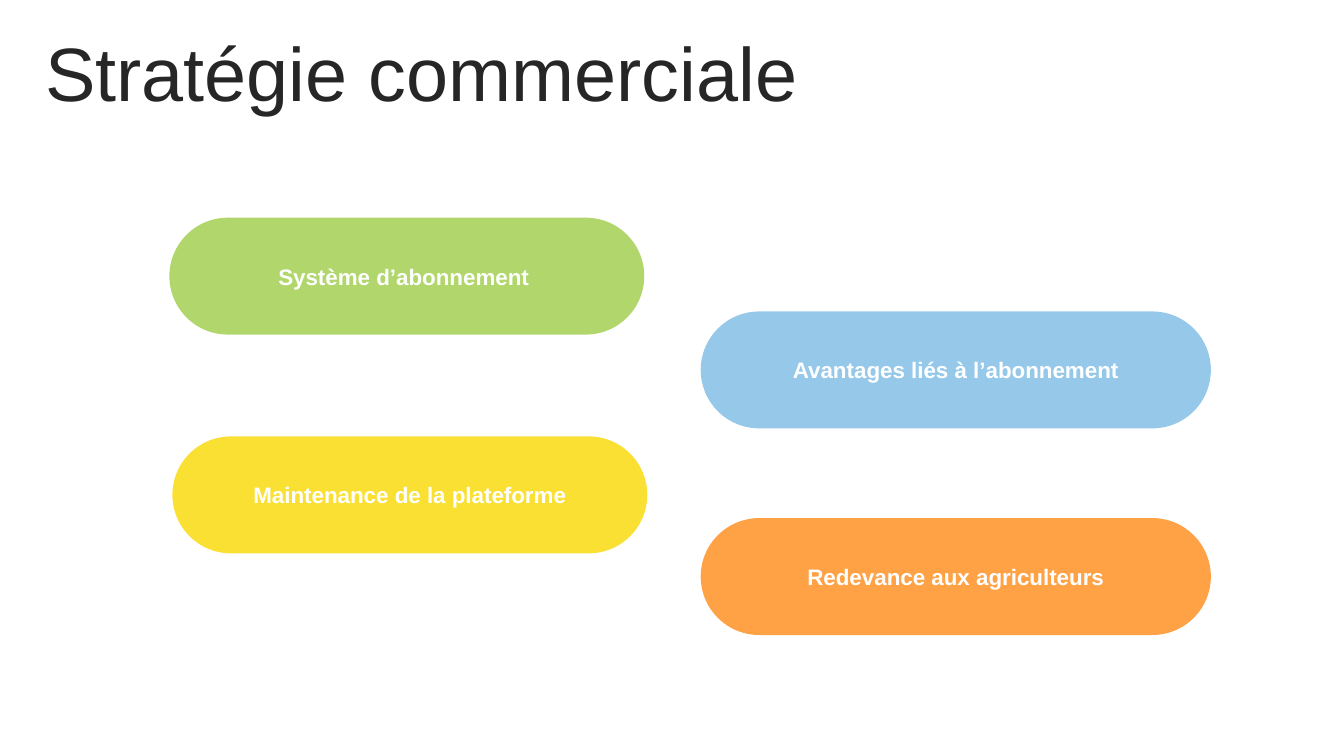
from pptx import Presentation
from pptx import util as u
from pptx.dml import color
from pptx.enum import shapes, text


def paint(fill, code):
    fill.solid()
    fill.fore_color.rgb = color.RGBColor.from_string(code)


def style(para, size, code, bold):
    font = para.runs[0].font
    font.name = "Arial"
    font.size = u.Pt(size)
    font.bold = bold
    paint(font.fill, code)


prs = Presentation()
prs.slide_width = u.Inches(13.33)
prs.slide_height = u.Inches(7.5)
slide = prs.slides.add_slide(prs.slide_layouts[5])

# Title
title = slide.shapes.title
title.left, title.top = u.Inches(0.35), u.Inches(0.37)
title.width, title.height = u.Inches(12.66), u.Inches(0.79)
frame = title.text_frame
frame.text = "Stratégie commerciale"
frame.word_wrap = True
frame.auto_size = text.MSO_AUTO_SIZE.NONE
frame.vertical_anchor = text.MSO_ANCHOR.MIDDLE
para = frame.paragraphs[0]
para.alignment = text.PP_ALIGN.LEFT
para.line_spacing = 0.9
para.space_before = u.Pt(10)
style(para, 54, "262626", False)

# Strategy pills: label, left, top, width, fill
pills = [
    ("Système d’abonnement ", 1.68, 2.16, 4.71, "B0D66C"),
    ("Avantages liés à l’abonnement", 6.95, 3.09, 5.06, "96C8E9"),
    ("Maintenance de la plateforme", 1.71, 4.33, 4.71, "FBE034"),
    ("Redevance aux agriculteurs", 6.95, 5.14, 5.06, "FFA246"),
]
for label, left, top, width, fill in pills:
    pill = slide.shapes.add_shape(
        shapes.MSO_SHAPE.ROUNDED_RECTANGLE,
        u.Inches(left), u.Inches(top), u.Inches(width), u.Inches(1.16))
    pill.adjustments[0] = 0.5
    pill.shadow.inherit = False
    paint(pill.fill, fill)
    pill.line.fill.background()
    frame = pill.text_frame
    frame.text = label
    frame.word_wrap = True
    frame.vertical_anchor = text.MSO_ANCHOR.MIDDLE
    para = frame.paragraphs[0]
    para.alignment = text.PP_ALIGN.CENTER
    para.space_before = u.Pt(3)
    style(para, 16, "FFFFFF", True)

prs.save("out.pptx")
